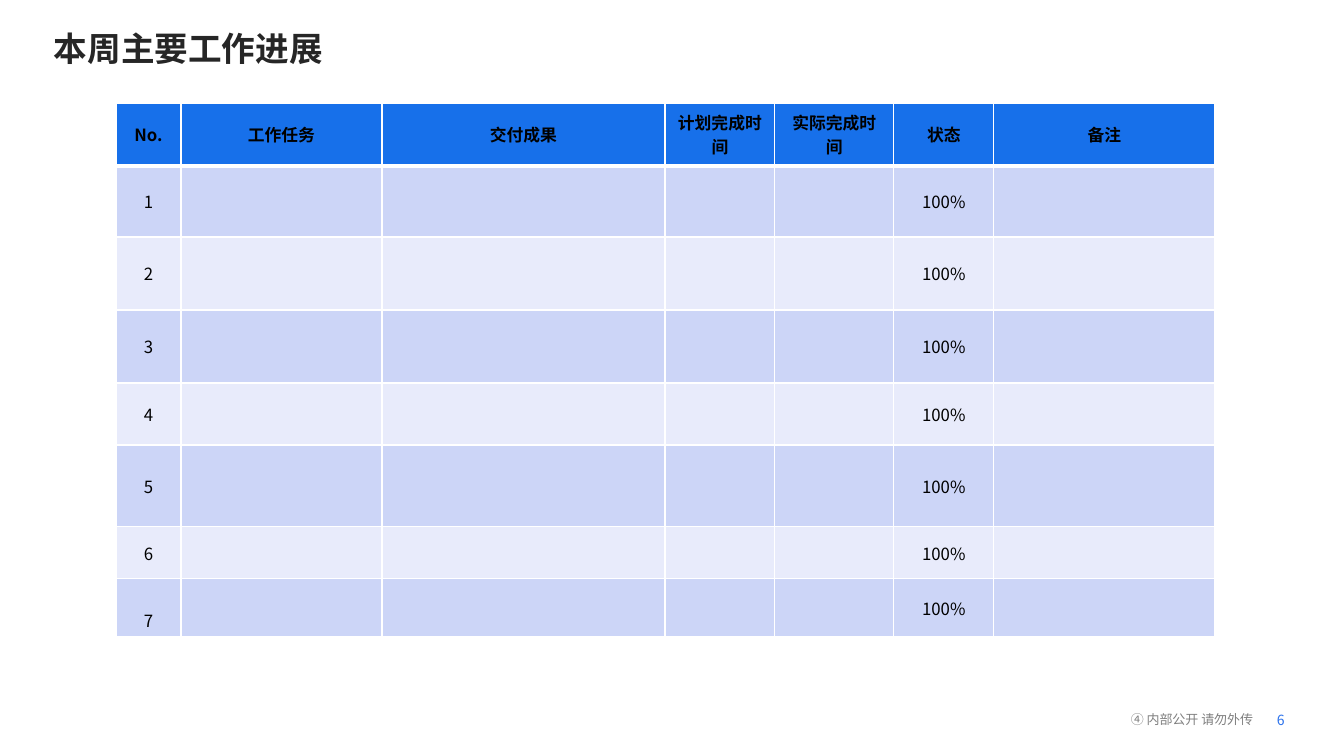
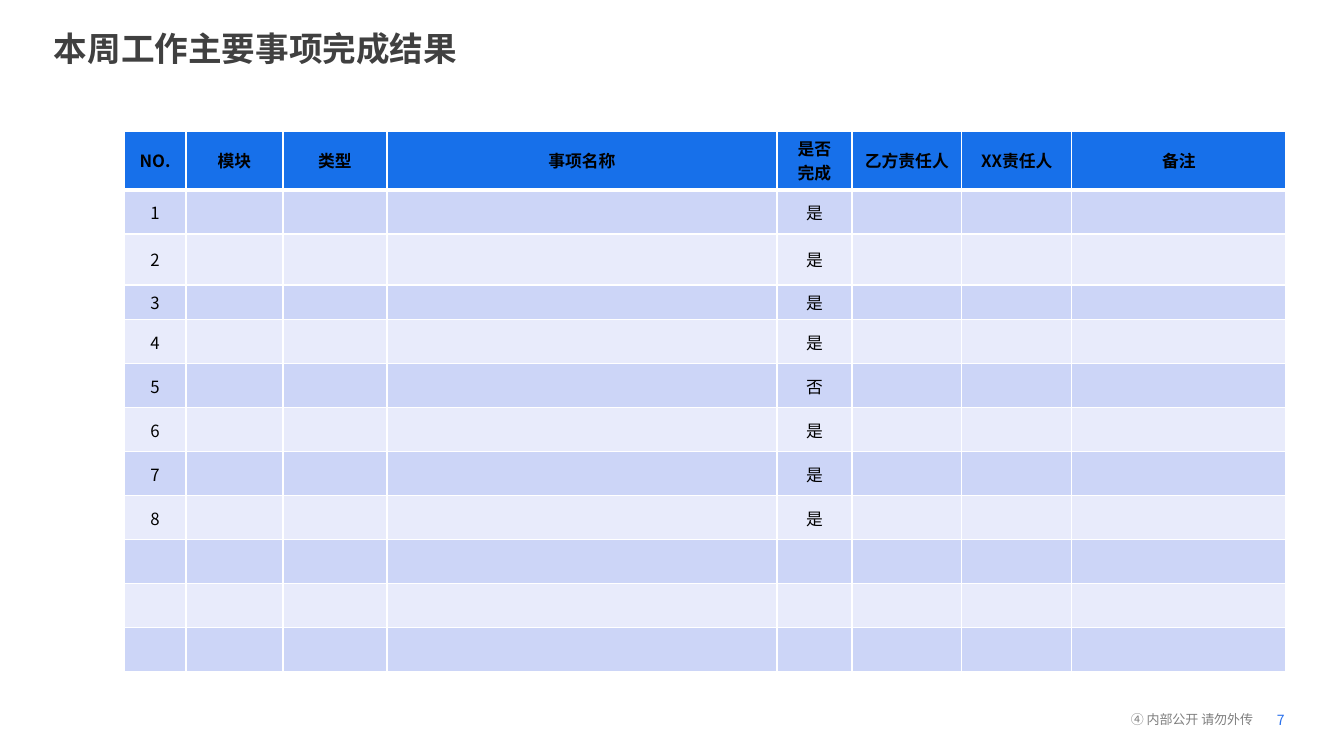
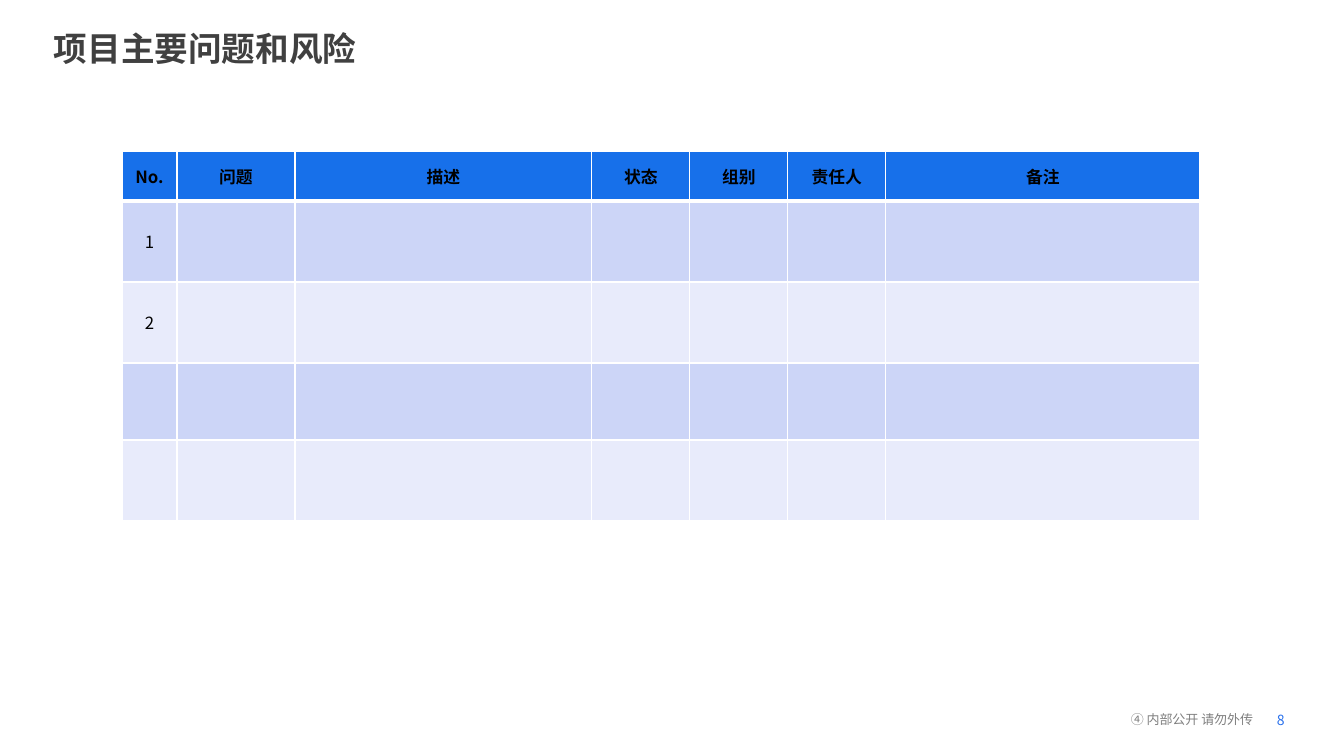
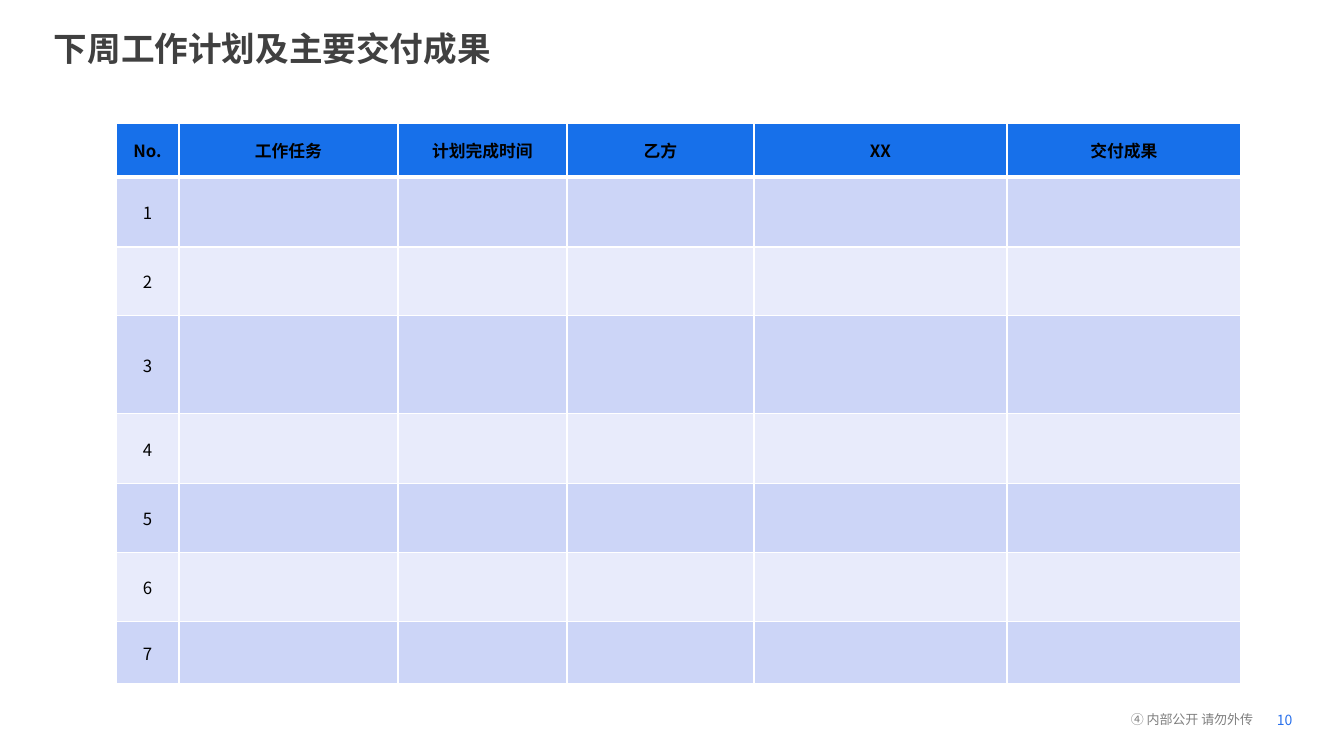
from lxml.etree import SubElement
from pptx import Presentation
from pptx.dml.color import RGBColor
from pptx.enum.text import MSO_ANCHOR, PP_ALIGN
from pptx.oxml.ns import qn
from pptx.util import Emu, Pt

# Shared style
FONT = "Noto Sans CJK SC"
HEADER, BANDS = "1770EA", ("CCD5F7", "E8EBFB")
WHITE, BLACK, GREY, BLUE = "FFFFFF", "000000", "808080", "2A71EC"
PX = 914400 / 100.8
THIN, THICK = Pt(1), Pt(3)


def style(p, text, size, color, bold=False, align=PP_ALIGN.LEFT):
    """Fill one paragraph and set its font, for Latin and Chinese text alike."""
    p.text = text
    p.alignment = align
    p.font.size = Pt(size)
    p.font.bold = bold
    p.font.color.rgb = RGBColor.from_string(color)
    p.font.name = FONT
    SubElement(p.font._rPr, qn("a:ea"), typeface=FONT)
    if not text:
        p._p.get_or_add_endParaRPr().set("sz", str(size * 100))


def add_label(s, box, text, size, color, bold=False, align=PP_ALIGN.LEFT, inset=0):
    """Add a vertically centred text box; box is left, top, width, height in px."""
    tf = s.shapes.add_textbox(*(Emu(round(n * PX)) for n in box)).text_frame
    tf.word_wrap = True
    tf.vertical_anchor = MSO_ANCHOR.MIDDLE
    tf.margin_left = tf.margin_right = Emu(round(inset * PX))
    tf.margin_top = tf.margin_bottom = 0
    style(tf.paragraphs[0], text, size, color, bold, align)
    return tf.paragraphs[0]


# Slide contents: body maps a column to its texts, from the first row down
slides = [
    dict(page=6, title="本周主要工作进展", title_color="262626", at=(116, 103),
         head=["No.", "工作任务", "交付成果", "计划完成时间", "实际完成时间", "状态", "备注"],
         cols=[65, 201, 283, 110, 119, 100, 221],
         rows=[63, 71, 73, 73, 62, 82, 52, 58],
         body={0: "1234567", 5: ["100%"] * 7}, lowered=(7, 0)),
    dict(page=7, title="本周工作主要事项完成结果", at=(124, 131),
         head=["NO.", "模块", "类型", "事项名称", "是否\n完成", "乙方责任人", "XX责任人", "备注"],
         cols=[62, 97, 104, 390, 75, 110, 110, 214],
         rows=[59, 44, 51, 35] + [44] * 8,
         body={0: "12345678", 4: "是是是是否是是是"}),
    dict(page=8, title="项目主要问题和风险", at=(122, 151),
         head=["No.", "问题", "描述", "状态", "组别", "责任人", "备注"],
         cols=[55, 118, 297, 98, 98, 98, 314],
         rows=[50, 81, 81, 77, 81],
         body={0: "12"}),
    dict(page=10, title="下周工作计划及主要交付成果", at=(116, 123),
         head=["No.", "工作任务", "计划完成时间", "乙方", "XX", "交付成果"],
         cols=[63, 219, 169, 187, 253, 234],
         rows=[54, 70, 69, 98, 70, 69, 69, 62],
         body={0: "1234567"}),
]

prs = Presentation()
prs.slide_width, prs.slide_height = Emu(round(1344 * PX)), Emu(round(756 * PX))

for d in slides:
    s = prs.slides.add_slide(prs.slide_layouts[6])

    # Title, footer and page number
    add_label(s, (44, 23, 1068, 51), d["title"], 24, d.get("title_color", "404040"),
              bold=True, inset=10)
    p = add_label(s, (1093, 708, 161, 19), "④ 内部公开 请勿外传", 9.3, GREY,
                  align=PP_ALIGN.RIGHT, inset=1)
    p.line_spacing = Pt(13.3)
    add_label(s, (1277, 711, 23, 17), str(d["page"]), 10, BLUE)

    # Table grid
    cols, rows = d["cols"], d["rows"]
    box = (*d["at"], sum(cols), sum(rows))
    table = s.shapes.add_table(len(rows), len(cols),
                               *(Emu(round(n * PX)) for n in box)).table
    for column, w in zip(table.columns, cols):
        column.width = Emu(round(w * PX))
    for row, h in zip(table.rows, rows):
        row.height = Emu(round(h * PX))

    # Table cells
    for i in range(len(rows)):
        for j in range(len(cols)):
            cell = table.cell(i, j)
            texts = d["body"].get(j, "")
            if i == 0:
                text, fill = d["head"][j], HEADER
            else:
                text = texts[i - 1] if i <= len(texts) else ""
                fill = BANDS[(i - 1) % 2]
            cell.vertical_anchor = MSO_ANCHOR.MIDDLE
            if d.get("lowered") == (i, j):
                cell.margin_top = Emu(round(29 * PX))

            tf = cell.text_frame
            for k, line in enumerate(text.split("\n")):
                p = tf.add_paragraph() if k else tf.paragraphs[0]
                style(p, line, 12, BLACK, bold=i == 0, align=PP_ALIGN.CENTER)

            # White borders, thicker below the header
            tcPr = cell._tc.get_or_add_tcPr()
            for side in "LRTB":
                thick = (i, side) in ((0, "B"), (1, "T"))
                ln = SubElement(tcPr, qn(f"a:ln{side}"), w=str(THICK if thick else THIN))
                SubElement(SubElement(ln, qn("a:solidFill")), qn("a:srgbClr"), val=WHITE)
            cell.fill.solid()
            cell.fill.fore_color.rgb = RGBColor.from_string(fill)

prs.save("out.pptx")
